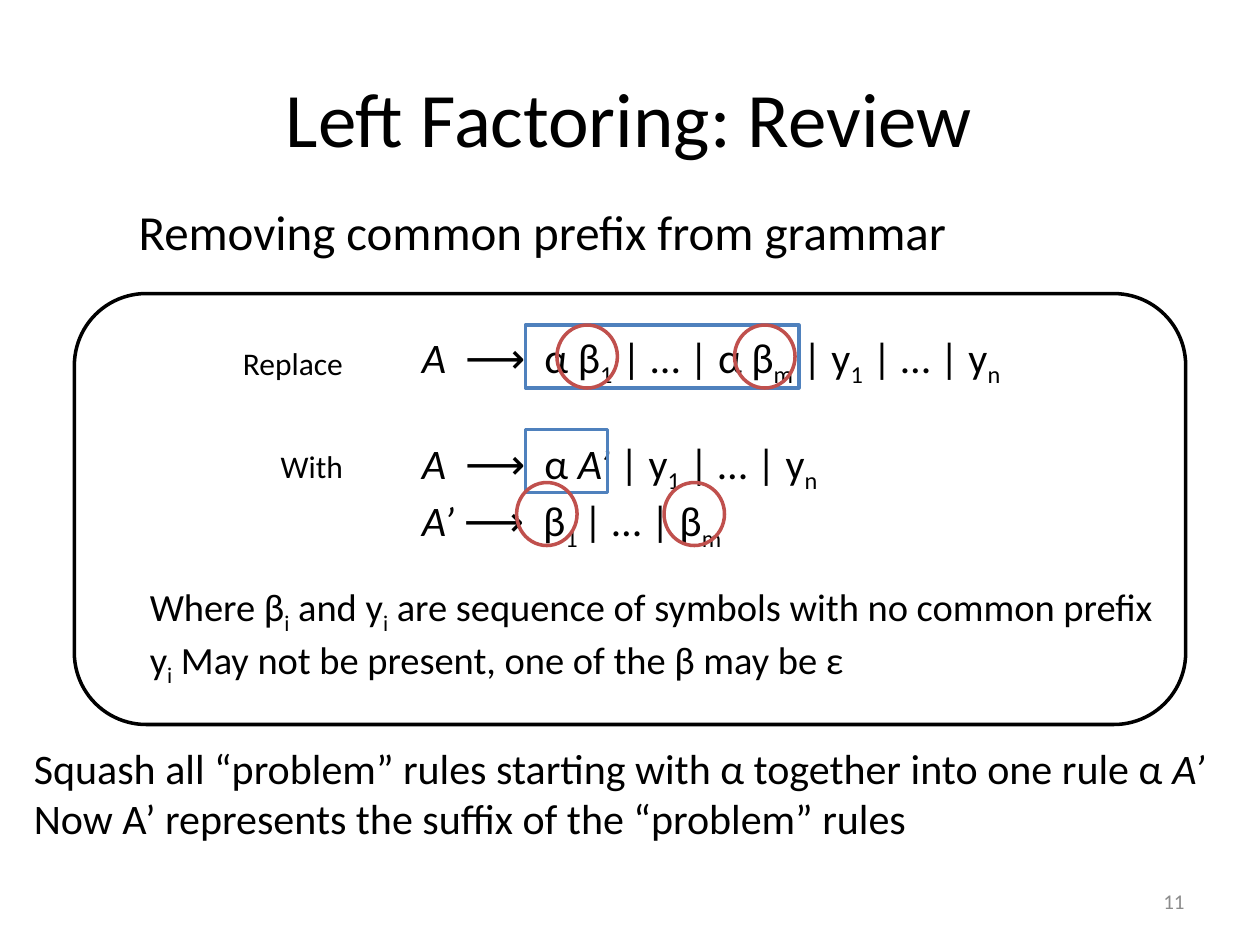
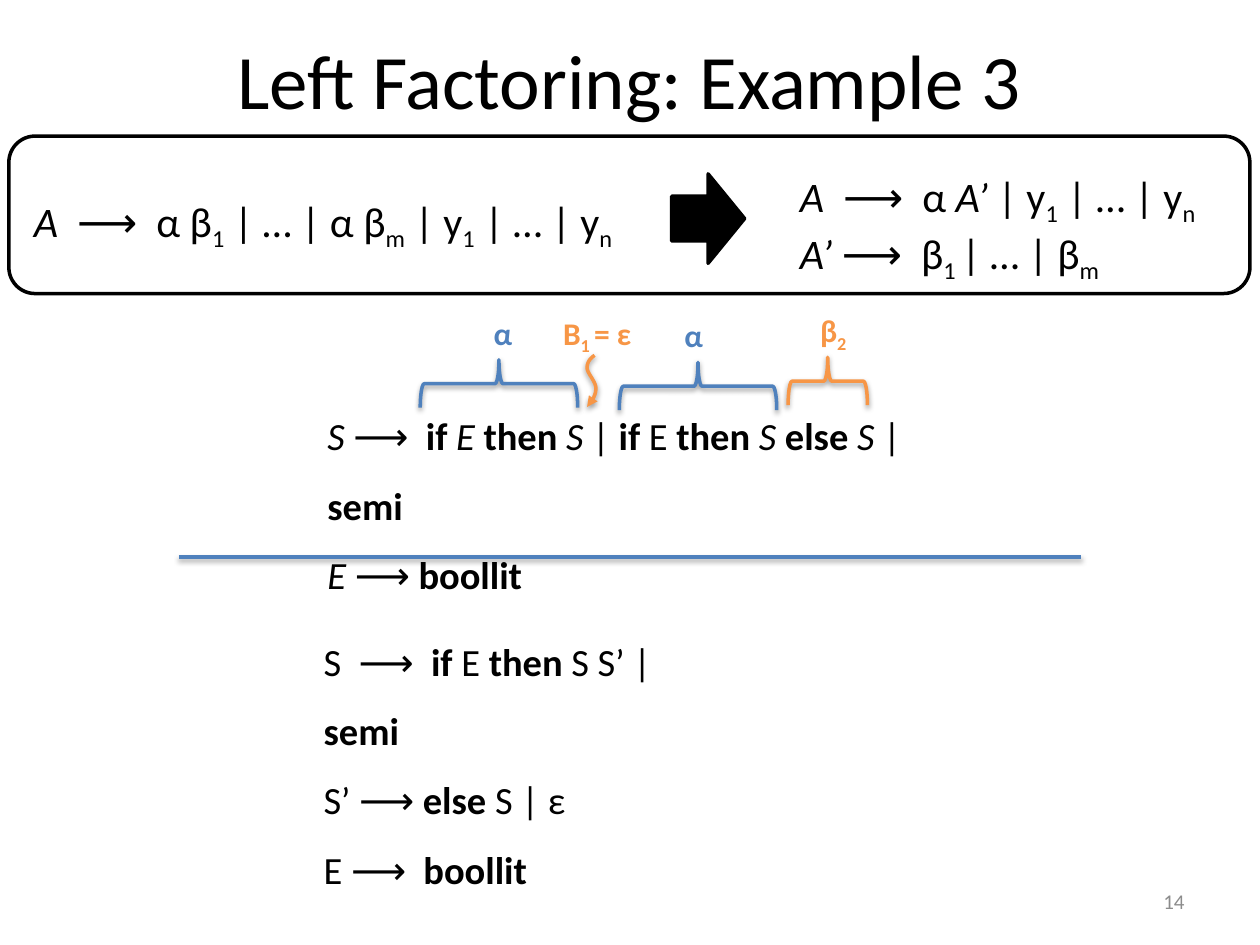
from dataclasses import dataclass
from itertools import groupby

from lxml.etree import SubElement
from pptx import Presentation
from pptx.dml.color import RGBColor
from pptx.enum.shapes import MSO_CONNECTOR, MSO_SHAPE
from pptx.enum.text import MSO_ANCHOR, MSO_AUTO_SIZE, PP_ALIGN
from pptx.oxml.ns import qn
from pptx.util import Inches, Pt

# Shared look
FONT = "Calibri"
BLACK = RGBColor(0x00, 0x00, 0x00)
WHITE = RGBColor(0xFF, 0xFF, 0xFF)
GRAY = RGBColor(0x8C, 0x8C, 0x8C)
BLUE = RGBColor(0x4F, 0x81, 0xBD)
RED = RGBColor(0xC0, 0x50, 0x4D)
ORANGE = RGBColor(0xF7, 0x96, 0x46)
LINE_WIDTH = Pt(2)

# Grammar rules shown on both slides: /italic/, *bold*, _subscript_
COMMON_PREFIX_RULE = "/A/  ⟶  α β_1_ | … | α β_m_ | y_1_ | … | y_n_"
FACTORED_RULES = "/A/  ⟶  α /A’ /| y_1_ | … | y_n_\n/A’ /⟶  β_1 _| … | β_m_"


@dataclass(frozen=True)
class Box:
    left: float
    top: float
    width: float
    height: float

    def emu(self) -> tuple:
        return tuple(Inches(v) for v in (self.left, self.top, self.width, self.height))


@dataclass(frozen=True)
class BraceLabel:
    text: str
    color: RGBColor
    brace: Box
    label: Box
    align: PP_ALIGN = PP_ALIGN.LEFT


def marked_runs(line: str):
    """Yield (text, active marks) for each stretch of equal format."""
    active = frozenset()
    chars = []
    for char in line:
        if char in "/*_":
            active = active ^ {char}
        else:
            chars.append((char, active))
    for marks, group in groupby(chars, key=lambda item: item[1]):
        yield "".join(char for char, _ in group), marks


def write_text(frame, text: str, *, size: float, color=BLACK, bold=False,
               align=None, level=0, spacing=None) -> None:
    """Fill a text frame; newline starts a paragraph, \\v breaks a line."""
    for number, content in enumerate(text.split("\n")):
        paragraph = frame.add_paragraph() if number else frame.paragraphs[0]
        paragraph.level = level
        if align is not None:
            paragraph.alignment = align
        if spacing:
            paragraph.line_spacing = spacing
        if level:
            properties = paragraph._p.get_or_add_pPr()
            properties.set("marL", str(Inches(0.5) * level))
            properties.set("indent", "0")
            SubElement(properties, qn("a:buNone"))
        for part, line in enumerate(content.split("\v")):
            if part:
                paragraph.add_line_break()
            for piece, marks in marked_runs(line):
                run = paragraph.add_run()
                run.text = piece
                font = run.font
                font.name, font.size = FONT, Pt(size)
                font.color.rgb = color
                font.bold = bold or "*" in marks
                font.italic = "/" in marks
                if "_" in marks:
                    font._element.set("baseline", "-25000")


def add_text(slide, box: Box, text: str, *, wrap=True, **text_format):
    frame = slide.shapes.add_textbox(*box.emu()).text_frame
    frame.word_wrap = wrap
    frame.auto_size = MSO_AUTO_SIZE.SHAPE_TO_FIT_TEXT
    write_text(frame, text, **text_format)
    return frame


def style_outline(shape, color: RGBColor, fill=None) -> None:
    shape.shadow.inherit = False
    shape.line.color.rgb = color
    shape.line.width = LINE_WIDTH
    if fill is None:
        shape.fill.background()
    else:
        shape.fill.solid()
        shape.fill.fore_color.rgb = fill


def add_outline(slide, kind, box: Box, color: RGBColor, fill=None):
    shape = slide.shapes.add_shape(kind, *box.emu())
    style_outline(shape, color, fill)
    return shape


def add_soft_shadow(shape) -> None:
    properties = shape._element.spPr
    effects = properties.find(qn("a:effectLst"))
    if effects is None:
        effects = SubElement(properties, qn("a:effectLst"))
    shadow = SubElement(effects, qn("a:outerShdw"), blurRad=str(Pt(3.1)),
                        dist=str(Pt(1.6)), dir="5400000", rotWithShape="0")
    shade = SubElement(shadow, qn("a:srgbClr"), val="000000")
    SubElement(shade, qn("a:alpha"), val="38000")


def add_brace(slide, item: BraceLabel) -> None:
    brace = add_outline(slide, MSO_SHAPE.RIGHT_BRACE, item.brace, item.color)
    brace.rotation = 270
    add_soft_shadow(brace)
    add_text(slide, item.label, item.text, size=18, color=item.color,
             bold=True, align=item.align)


def add_curved_arrow(slide, start: tuple, curves: list, color: RGBColor) -> None:
    """Draw cubic curves, each as (control, control, end), with an arrowhead."""
    steps = 10
    points = []
    origin = start
    for first, second, end in curves:
        for step in range(1, steps + 1):
            t = step / steps
            weights = ((1 - t) ** 3, 3 * t * (1 - t) ** 2, 3 * t * t * (1 - t), t ** 3)
            corners = (origin, first, second, end)
            points.append(tuple(
                Inches(sum(w * corner[axis] for w, corner in zip(weights, corners)))
                for axis in (0, 1)))
        origin = end
    builder = slide.shapes.build_freeform(Inches(start[0]), Inches(start[1]))
    builder.add_line_segments(points, close=False)
    arrow = builder.convert_to_shape()
    style_outline(arrow, color)
    SubElement(arrow.line._get_or_add_ln(), qn("a:tailEnd"), type="triangle")
    add_soft_shadow(arrow)


def place(placeholder, box: Box) -> None:
    placeholder.left, placeholder.top, placeholder.width, placeholder.height = box.emu()


def add_slide(deck, layout: int, title: str, title_top: float, number: int):
    slide = deck.slides.add_slide(deck.slide_layouts[layout])
    heading = slide.shapes.title
    place(heading, Box(0.33, title_top, 9.33, 1.25))
    heading.text_frame.vertical_anchor = MSO_ANCHOR.MIDDLE
    write_text(heading.text_frame, title, size=44, align=PP_ALIGN.CENTER)
    footer = add_text(slide, Box(7.17, 6.95, 2.33, 0.4), str(number), size=12,
                      color=GRAY, align=PP_ALIGN.RIGHT)
    footer.auto_size = MSO_AUTO_SIZE.NONE
    footer.vertical_anchor = MSO_ANCHOR.MIDDLE
    return slide


def build_review(deck) -> None:
    slide = add_slide(deck, 1, "Left Factoring: Review", 0.3, 11)
    goal = slide.placeholders[1]
    place(goal, Box(0.5, 1.55, 8.75, 4.95))
    write_text(goal.text_frame, "Removing common prefix from grammar", size=28, level=1)

    # Panel with the rewriting scheme
    add_outline(slide, MSO_SHAPE.ROUNDED_RECTANGLE, Box(0.59, 2.33, 8.82, 3.42),
                BLACK, WHITE)
    add_text(slide, Box(1.83, 2.68, 1.01, 0.4), "Replace", size=18, wrap=False)
    add_text(slide, Box(3.25, 2.58, 4.92, 0.5), COMMON_PREFIX_RULE, size=24)
    add_text(slide, Box(2.13, 3.5, 0.7, 0.4), "With", size=18, wrap=False)
    add_text(slide, Box(3.25, 3.42, 4.08, 0.91), FACTORED_RULES, size=24)
    add_text(slide, Box(0.59, 4.58, 8.82, 0.84),
             "Where β_i_ and y_i_ are sequence of symbols with no common prefix\n"
             "y_i_ May not be present, one of the β may be ε",
             size=22, level=1, wrap=False)
    add_text(slide, Box(-0.33, 5.84, 10.08, 0.91),
             "Squash all “problem” rules starting with α together into one rule α /A’/\n"
             "Now A’ represents the suffix of the “problem” rules",
             size=24, level=1, wrap=False)

    # Blue frames mark the prefix, red circles the suffixes
    for top, width in ((2.58, 2.17), (3.41, 0.65)):
        add_outline(slide, MSO_SHAPE.RECTANGLE, Box(4.17, top, width, 0.5), BLUE)
    for left, top in ((4.42, 2.58), (5.83, 2.58), (4.1, 3.83), (5.27, 3.83)):
        add_outline(slide, MSO_SHAPE.OVAL, Box(left, top, 0.48, 0.5), RED)


def build_example(deck) -> None:
    slide = add_slide(deck, 5, "Left Factoring: Example 3", 0, 14)

    # Scheme: before, arrow, after
    add_outline(slide, MSO_SHAPE.ROUNDED_RECTANGLE, Box(0.07, 1.08, 9.85, 1.25),
                BLACK, WHITE)
    add_text(slide, Box(0.17, 1.5, 4.92, 0.5), COMMON_PREFIX_RULE, size=24)
    add_text(slide, Box(6.25, 1.3, 3.5, 0.91), FACTORED_RULES, size=24)
    add_outline(slide, MSO_SHAPE.RIGHT_ARROW, Box(5.33, 1.38, 0.58, 0.71), BLACK, BLACK)

    # Grammar before and after factoring
    add_text(slide, Box(2.5, 3.04, 5.41, 1.21),
             "/S/ ⟶  *if* /E/ *then* /S/ | *if* E *then* /S/ *else* /S/ | \v*semi*\n"
             "/E/ ⟶ *boollit*", size=22, spacing=1.5)
    add_text(slide, Box(2.47, 4.83, 3.43, 1.77),
             "S  ⟶  *if* E *then* S S’ | \v*semi*\n"
             "S’ ⟶ *else* S | ε\n"
             "E ⟶  *boollit*", size=22, spacing=1.5)
    divider = slide.shapes.add_connector(
        MSO_CONNECTOR.STRAIGHT, Inches(1.42), Inches(4.42), Inches(8.58), Inches(4.42))
    divider.line.color.rgb = BLUE
    divider.line.width = LINE_WIDTH
    add_soft_shadow(divider)

    # Labels over the parts of the first rule
    for item in (
        BraceLabel("α", BLUE, Box(3.77, 2.42, 0.38, 1.25), Box(3.82, 2.44, 0.51, 0.4)),
        BraceLabel("α", BLUE, Box(5.35, 2.44, 0.38, 1.25), Box(5.25, 2.46, 0.51, 0.4),
                   PP_ALIGN.CENTER),
        BraceLabel("β_2_", ORANGE, Box(6.38, 2.71, 0.38, 0.63),
                   Box(6.41, 2.42, 0.51, 0.4)),
    ):
        add_brace(slide, item)
    add_text(slide, Box(4.37, 2.44, 0.88, 0.4), "Β_1 _= ε", size=18,
             color=ORANGE, bold=True)
    add_curved_arrow(slide, (4.72, 2.82), [
        ((4.69, 2.84), (4.66, 2.87), (4.66, 2.92)),
        ((4.66, 2.96), (4.73, 3.03), (4.73, 3.08)),
        ((4.73, 3.14), (4.7, 3.18), (4.66, 3.23)),
    ], ORANGE)


presentation = Presentation()
presentation.slide_width = Inches(10)
presentation.slide_height = Inches(7.5)
build_review(presentation)
build_example(presentation)
presentation.save("out.pptx")
